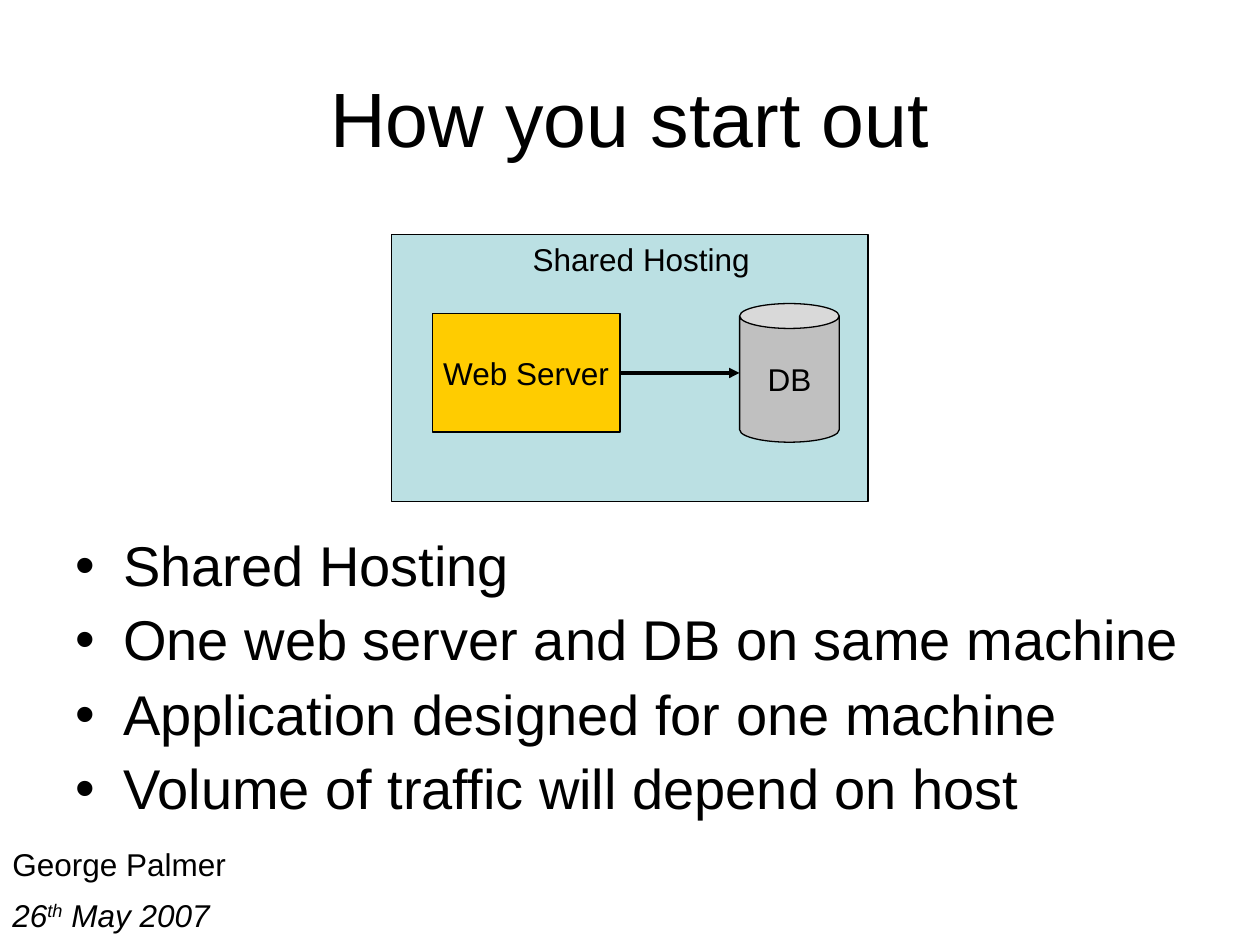
from lxml import etree
from pptx import Presentation
from pptx.dml.color import RGBColor
from pptx.enum.shapes import MSO_CONNECTOR, MSO_SHAPE
from pptx.enum.text import MSO_ANCHOR, PP_ALIGN
from pptx.oxml.ns import qn
from pptx.util import Inches, Pt

COLORS = {
    "text": "000000",
    "line": "000000",
    "hosting": "BBE0E3",
    "server": "FFCC00",
    "database": "C0C0C0",
}
BULLETS = [
    "Shared Hosting",
    "One web server and DB on same machine",
    "Application designed for one machine",
    "Volume of traffic will depend on host",
]


def color(name):
    return RGBColor.from_string(COLORS[name])


def style_paragraph(paragraph, size, align=PP_ALIGN.LEFT, italic=False):
    paragraph.alignment = align
    font = paragraph.font
    font.name = "Arial"
    font.size = Pt(size)
    font.italic = italic
    font.color.rgb = color("text")


def add_text(slide, box, runs, size=18, align=PP_ALIGN.LEFT,
             anchor=MSO_ANCHOR.TOP, italic=False):
    frame = slide.shapes.add_textbox(*map(Inches, box)).text_frame
    frame.word_wrap = True
    frame.vertical_anchor = anchor
    paragraph = frame.paragraphs[0]
    for text, baseline in runs:
        run = paragraph.add_run()
        run.text = text
        if baseline:
            run.font._element.set("baseline", str(baseline * 1000))
    style_paragraph(paragraph, size, align, italic)


def add_bullets(slide, box, items):
    frame = slide.shapes.add_textbox(*map(Inches, box)).text_frame
    frame.word_wrap = True
    for index, item in enumerate(items):
        paragraph = frame.add_paragraph() if index else frame.paragraphs[0]
        paragraph.text = item
        paragraph.line_spacing = 0.9
        if index:
            paragraph.space_before = Pt(8)
        properties = paragraph._p.get_or_add_pPr()
        properties.set("marL", str(Inches(0.38)))
        properties.set("indent", str(Inches(-0.38)))
        etree.SubElement(properties, qn("a:buFont"), typeface="Arial")
        etree.SubElement(properties, qn("a:buChar"), char="•")
        style_paragraph(paragraph, 32)


def add_block(slide, kind, box, fill, label=""):
    shape = slide.shapes.add_shape(kind, *map(Inches, box))
    shape.shadow.inherit = False
    shape.fill.solid()
    shape.fill.fore_color.rgb = color(fill)
    shape.line.color.rgb = color("line")
    shape.line.width = Pt(0.75)
    if label:
        frame = shape.text_frame
        frame.word_wrap = False
        frame.vertical_anchor = MSO_ANCHOR.MIDDLE
        frame.text = label
        style_paragraph(frame.paragraphs[0], 18, PP_ALIGN.CENTER)
    return shape


def add_arrow(slide, source, target):
    middle = target.top + target.height // 2
    arrow = slide.shapes.add_connector(
        MSO_CONNECTOR.STRAIGHT, source.left + source.width, middle,
        target.left, middle)
    arrow.begin_connect(source, 3)
    arrow.line.color.rgb = color("line")
    arrow.line.width = Pt(2)
    etree.SubElement(arrow.line._get_or_add_ln(), qn("a:tailEnd"), type="triangle")
    etree.SubElement(arrow._element.spPr, qn("a:effectLst"))


def main():
    presentation = Presentation()
    presentation.slide_width = Inches(10)
    presentation.slide_height = Inches(7.5)
    slide = presentation.slides.add_slide(presentation.slide_layouts[6])

    add_text(slide, (0, 6.66, 3.9, 0.4), [("George Palmer", 0)])
    add_text(slide, (0, 7.06, 2.4, 0.4),
             [("26", 0), ("th", 30), (" May 2007", 0)], italic=True)
    add_text(slide, (0.5, 0.3, 9, 1.25), [("How you start out", 0)], 44,
             PP_ALIGN.CENTER, MSO_ANCHOR.MIDDLE)
    add_bullets(slide, (0.5, 4.22, 9, 2.48), BULLETS)

    add_block(slide, MSO_SHAPE.RECTANGLE, (3.11, 1.86, 3.78, 2.12), "hosting")
    database = add_block(slide, MSO_SHAPE.CAN, (5.87, 2.41, 0.79, 1.1), "database", "DB")
    server = add_block(slide, MSO_SHAPE.RECTANGLE, (3.43, 2.49, 1.49, 0.94),
                       "server", "Web Server")
    add_arrow(slide, server, database)
    add_text(slide, (4.13, 1.86, 1.97, 0.4), [("Shared Hosting", 0)])

    presentation.save("out.pptx")


if __name__ == "__main__":
    main()
